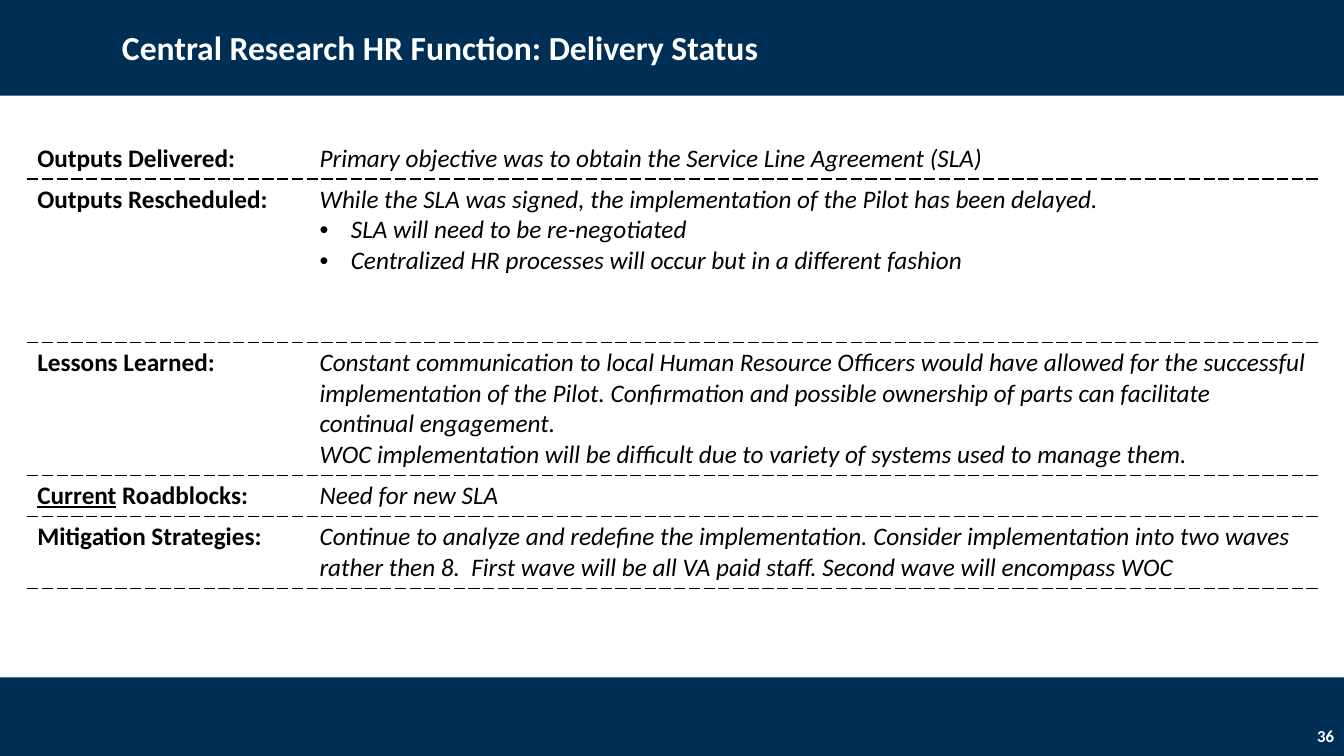
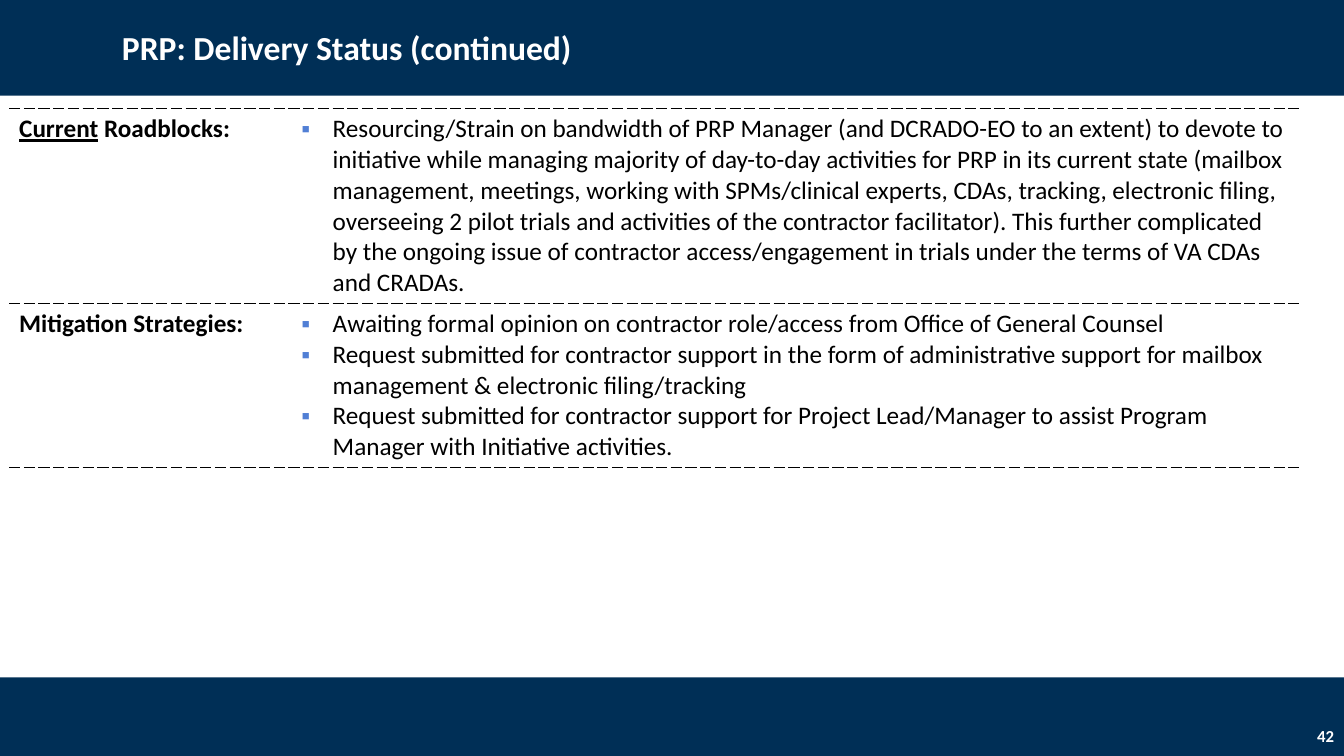
from dataclasses import dataclass

from lxml import etree
from pptx import Presentation
from pptx.dml.color import RGBColor
from pptx.enum.shapes import MSO_SHAPE
from pptx.enum.text import MSO_ANCHOR, MSO_AUTO_SIZE, PP_ALIGN
from pptx.oxml.ns import qn
from pptx.util import Inches, Pt

RECTANGLE = MSO_SHAPE.RECTANGLE
MIDDLE = MSO_ANCHOR.MIDDLE
LEFT, RIGHT = PP_ALIGN.LEFT, PP_ALIGN.RIGHT
NO_AUTOFIT = MSO_AUTO_SIZE.NONE

NAVY, WHITE, BLACK, BLUE = "002F56", "FFFFFF", "000000", "517FD5"
FONT = "Calibri"
TITLE_FORMAT = {"name": FONT, "size": Pt(24), "bold": True}
PAGE_FORMAT = {"name": FONT, "size": Pt(12), "bold": True}
LABEL_FORMAT = {"name": FONT, "size": Pt(18), "bold": True}
BODY_FORMAT = {"name": FONT, "size": Pt(18), "bold": False}

SLIDE_WIDTH, SLIDE_HEIGHT = 13.33, 7.5
BANDS = ((0, 0.95), (6.72, 0.8))  # top, height
COLUMN_WIDTHS = (2.8, 10)
BULLET_INDENT = 0.31
PLAIN_TABLE_STYLE = "{2D5ABB26-0587-4C30-8999-92F81FD0307C}"


@dataclass(frozen=True)
class Entry:
    text: str
    bullet: str = ""
    bullet_color: str = BLACK


@dataclass(frozen=True)
class StatusRow:
    label: str
    height: float
    entries: tuple[Entry, ...]
    underlined: str = ""


@dataclass(frozen=True)
class StatusSlide:
    title: str
    page: str
    left: float
    top: float
    rows: tuple[StatusRow, ...]
    italic: bool
    top_rule: bool


def dot(text: str) -> Entry:
    return Entry(text, "•")


def square(text: str) -> Entry:
    return Entry(text, "▪", BLUE)


STATUS_SLIDES = (
    StatusSlide(
        "Central Research HR Function: Delivery Status", "36", 0.27, 1.37,
        (
            StatusRow("Outputs Delivered:", 0.4, (
                Entry("Primary objective was to obtain the Service Line Agreement (SLA)"),
            )),
            StatusRow("Outputs Rescheduled:", 1.62, (
                Entry("While the SLA was signed, the implementation of the Pilot has been delayed."),
                dot("SLA will need to be re-negotiated"),
                dot("Centralized HR processes will occur but in a different fashion"),
            )),
            StatusRow("Lessons Learned:", 1.32, (
                Entry("Constant communication to local Human Resource Officers would have "
                      "allowed for the successful implementation of the Pilot. Confirmation "
                      "and possible ownership of parts can facilitate continual engagement."),
                Entry("WOC implementation will be difficult due to variety of systems used "
                      "to manage them."),
            )),
            StatusRow(" Roadblocks:", 0.41, (Entry("Need for new SLA"),), "Current"),
            StatusRow("Mitigation Strategies:", 0.71, (
                Entry("Continue to analyze and redefine the implementation. Consider "
                      "implementation into two waves rather then 8.  First wave will be all "
                      "VA paid staff. Second wave will encompass WOC"),
            )),
        ),
        italic=True, top_rule=False,
    ),
    StatusSlide(
        "PRP: Delivery Status (continued)", "42", 0.09, 1.08,
        (
            StatusRow(" Roadblocks:", 1.93, (
                square("Resourcing/Strain on bandwidth of PRP Manager (and DCRADO-EO to an "
                       "extent) to devote to initiative while managing majority of day-to-day "
                       "activities for PRP in its current state (mailbox management, meetings, "
                       "working with SPMs/clinical experts, CDAs, tracking, electronic filing, "
                       "overseeing 2 pilot trials and activities of the contractor "
                       "facilitator). This further complicated by the ongoing issue of "
                       "contractor access/engagement in trials under the terms of VA CDAs and "
                       "CRADAs."),
            ), "Current"),
            StatusRow("Mitigation Strategies:", 1.63, (
                square("Awaiting formal opinion on contractor role/access from Office of "
                       "General Counsel"),
                square("Request submitted for contractor support in the form of "
                       "administrative support for mailbox management & electronic "
                       "filing/tracking"),
                square("Request submitted for contractor support for Project Lead/Manager to "
                       "assist Program Manager with Initiative activities."),
            )),
        ),
        italic=False, top_rule=True,
    ),
)


def rgb(value: str) -> RGBColor:
    return RGBColor.from_string(value)


def add_run(paragraph, text: str, color: str, font_format: dict, **extra) -> None:
    run = paragraph.add_run()
    run.text = text
    run.font.color.rgb = rgb(color)
    for attribute, value in {**font_format, **extra}.items():
        setattr(run.font, attribute, value)


def add_bullet(paragraph, entry: Entry) -> None:
    properties = paragraph._p.get_or_add_pPr()
    indent = Inches(BULLET_INDENT)
    properties.set("marL", str(indent))
    properties.set("indent", str(-indent))
    bullet_color = etree.SubElement(properties, qn("a:buClr"))
    etree.SubElement(bullet_color, qn("a:srgbClr"), val=entry.bullet_color)
    etree.SubElement(properties, qn("a:buFont"), typeface="Arial")
    etree.SubElement(properties, qn("a:buChar"), char=entry.bullet)


def add_rule(cell, edge: str) -> None:
    """Draw a dashed rule on one edge; lnB has to be added before lnT."""
    rule = etree.Element(qn(f"a:{edge}"), w=str(Pt(1)))
    fill = etree.SubElement(rule, qn("a:solidFill"))
    etree.SubElement(fill, qn("a:srgbClr"), val=BLACK)
    etree.SubElement(rule, qn("a:prstDash"), val="dash")
    cell._tc.get_or_add_tcPr().insert(0, rule)


def add_master_bands(presentation, slide) -> None:
    """Draw the bands on a slide, then move them to the master all slides share."""
    master_tree = presentation.slide_master.shapes.element
    for top, height in BANDS:
        band = slide.shapes.add_shape(
            RECTANGLE, 0, Inches(top), Inches(SLIDE_WIDTH), Inches(height))
        band.shadow.inherit = False
        band.fill.solid()
        band.fill.fore_color.rgb = rgb(NAVY)
        band.line.fill.background()
        master_tree.insert(2, band.element)


def add_title(slide, text: str) -> None:
    title = slide.shapes.title
    title.left, title.top = Inches(1.11), Inches(0.12)
    title.width, title.height = Inches(11.5), Inches(0.74)
    frame = title.text_frame
    frame.auto_size = NO_AUTOFIT
    frame.vertical_anchor = MIDDLE
    paragraph = frame.paragraphs[0]
    paragraph.alignment = LEFT
    paragraph.line_spacing = 0.9
    add_run(paragraph, text, WHITE, TITLE_FORMAT)


def add_page_number(slide, page: str) -> None:
    box = slide.shapes.add_textbox(Inches(10.33), Inches(7.1), Inches(3), Inches(0.4))
    frame = box.text_frame
    frame.word_wrap = True
    frame.vertical_anchor = MIDDLE
    paragraph = frame.paragraphs[0]
    paragraph.alignment = RIGHT
    add_run(paragraph, page, WHITE, PAGE_FORMAT)


def fill_label(cell, row: StatusRow) -> None:
    paragraph = cell.text_frame.paragraphs[0]
    if row.underlined:
        add_run(paragraph, row.underlined, BLACK, LABEL_FORMAT, underline=True)
    add_run(paragraph, row.label, BLACK, LABEL_FORMAT)


def fill_entries(cell, entries: tuple[Entry, ...], italic: bool) -> None:
    frame = cell.text_frame
    for index, entry in enumerate(entries):
        paragraph = frame.add_paragraph() if index else frame.paragraphs[0]
        if entry.bullet:
            add_bullet(paragraph, entry)
        add_run(paragraph, entry.text, BLACK, BODY_FORMAT, italic=italic)


def add_status_table(slide, status: StatusSlide) -> None:
    frame = slide.shapes.add_table(
        len(status.rows), len(COLUMN_WIDTHS), Inches(status.left), Inches(status.top),
        Inches(sum(COLUMN_WIDTHS)), Inches(sum(row.height for row in status.rows)))
    table = frame.table
    table.first_row = table.horz_banding = False
    table._tbl.tblPr.find(qn("a:tableStyleId")).text = PLAIN_TABLE_STYLE
    for column, width in zip(table.columns, COLUMN_WIDTHS):
        column.width = Inches(width)
    for index, row in enumerate(status.rows):
        table.rows[index].height = Inches(row.height)
        label_cell, entries_cell = table.cell(index, 0), table.cell(index, 1)
        fill_label(label_cell, row)
        fill_entries(entries_cell, row.entries, status.italic)
        for cell in (label_cell, entries_cell):
            cell.fill.solid()
            cell.fill.fore_color.rgb = rgb(WHITE)
            add_rule(cell, "lnB")
            if index or status.top_rule:
                add_rule(cell, "lnT")


def main() -> None:
    presentation = Presentation()
    presentation.slide_width = Inches(SLIDE_WIDTH)
    presentation.slide_height = Inches(SLIDE_HEIGHT)
    title_only = presentation.slide_layouts.get_by_name("Title Only")
    for index, status in enumerate(STATUS_SLIDES):
        slide = presentation.slides.add_slide(title_only)
        if index == 0:
            add_master_bands(presentation, slide)
        add_status_table(slide, status)
        add_title(slide, status.title)
        add_page_number(slide, status.page)
    presentation.save("out.pptx")


if __name__ == "__main__":
    main()
